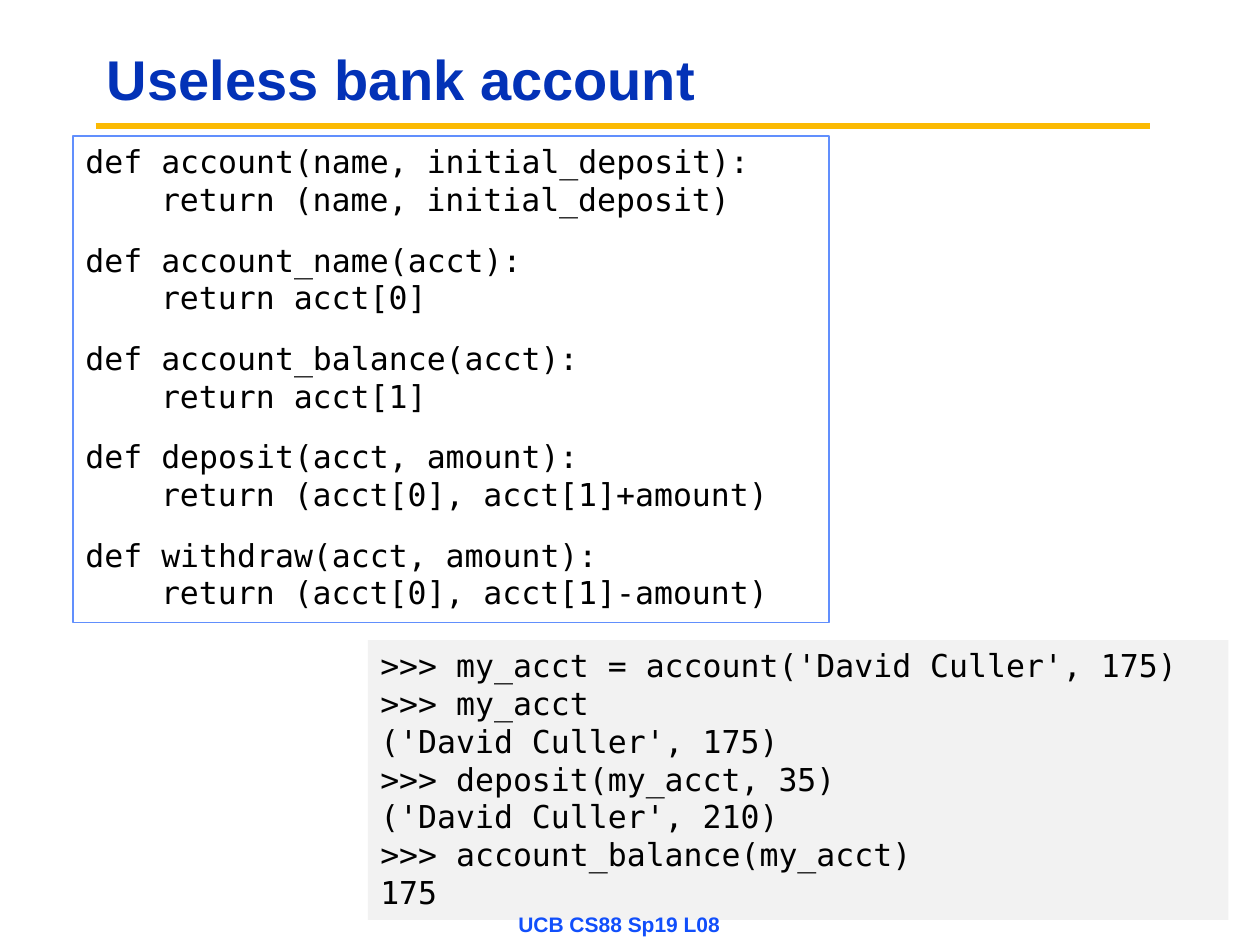
from dataclasses import dataclass

from lxml.etree import SubElement
from pptx import Presentation
from pptx.dml.color import RGBColor as Rgb
from pptx.enum.shapes import MSO_CONNECTOR as Conn, MSO_SHAPE as Shape
from pptx.enum.text import MSO_ANCHOR as Anchor, PP_ALIGN as Align
from pptx.oxml.ns import qn
from pptx.util import Inches, Pt


@dataclass(frozen=True)
class Theme:
    sans: str = "Arial"
    mono: str = "DejaVu Sans Mono"
    title: Rgb = Rgb(0x03, 0x32, 0xB7)
    foot: Rgb = Rgb(0x11, 0x4F, 0xFB)
    rule: Rgb = Rgb(0xFB, 0xBA, 0x03)
    edge: Rgb = Rgb(0x61, 0x8F, 0xFD)
    panel: Rgb = Rgb(0xF2, 0xF2, 0xF2)
    ink: Rgb = Rgb(0, 0, 0)
    head_pt: int = 32
    code_pt: int = 18
    foot_pt: int = 12
    rule_pt: float = 3.75
    edge_pt: float = 0.75
    gap_pt: int = 13
    tab: float = 0.6


class Deck:
    def __init__(self, theme):
        self.theme = theme
        self.prs = Presentation()
        self.prs.slide_width, self.prs.slide_height = Inches(10), Inches(7.5)
        self.slide = self.prs.slides.add_slide(self.prs.slide_layouts[6])

    def run(self, para, text, font, size, color, bold=False):
        run = para.add_run()
        run.text = text
        run.font.name, run.font.size = font, Pt(size)
        run.font.color.rgb, run.font.bold = color, bold

    def rule(self, x1, x2, y):
        line = self.slide.shapes.add_connector(
            Conn.STRAIGHT, Inches(x1), Inches(y), Inches(x2), Inches(y))
        line.line.color.rgb = self.theme.rule
        line.line.width = Pt(self.theme.rule_pt)
        SubElement(line._element.spPr, qn("a:effectLst"))

    def label(self, box, text, size, color, align=Align.LEFT, space=1.0):
        frame = self.slide.shapes.add_textbox(*map(Inches, box)).text_frame
        frame.word_wrap = True
        frame.vertical_anchor = Anchor.MIDDLE
        para = frame.paragraphs[0]
        para.alignment, para.line_spacing = align, space
        self.run(para, text, self.theme.sans, size, color, bold=True)

    def code(self, box, blocks, fill=None, edge=None):
        theme = self.theme
        shape = self.slide.shapes.add_shape(Shape.RECTANGLE, *map(Inches, box))
        shape.shadow.inherit = False
        if fill is None:
            shape.fill.background()
        else:
            shape.fill.solid()
            shape.fill.fore_color.rgb = fill
        if edge is None:
            shape.line.fill.background()
        else:
            shape.line.color.rgb = edge
            shape.line.width = Pt(theme.edge_pt)
        frame = shape.text_frame
        frame.word_wrap = True
        frame.vertical_anchor = Anchor.TOP
        para = frame.paragraphs[0]
        for i, block in enumerate(blocks):
            for j, (depth, text) in enumerate(block):
                if i or j:
                    para = frame.add_paragraph()
                para.alignment = Align.LEFT
                if i and not j:
                    para.space_before = Pt(theme.gap_pt)
                if depth:
                    para._p.get_or_add_pPr().set("marL", str(Inches(depth * theme.tab)))
                self.run(para, text, theme.mono, theme.code_pt, theme.ink)

    def save(self):
        self.prs.save("out.pptx")


FUNCS = [
    ("account(name, initial_deposit)", "(name, initial_deposit)"),
    ("account_name(acct)", "acct[0]"),
    ("account_balance(acct)", "acct[1]"),
    ("deposit(acct, amount)", "(acct[0], acct[1]+amount)"),
    ("withdraw(acct, amount)", "(acct[0], acct[1]-amount)"),
]
SHELL = [
    ">>> my_acct = account('David Culler', 175)",
    ">>> my_acct",
    "('David Culler', 175)",
    ">>> deposit(my_acct, 35)",
    "('David Culler', 210)",
    ">>> account_balance(my_acct)",
    "175",
]


def main():
    theme = Theme()
    deck = Deck(theme)
    deck.rule(0.76, 9.13, 1)
    deck.label((0.75, 0.25, 8.42, 0.81), "Useless bank account",
               theme.head_pt, theme.title, space=0.9)
    defs = [[(0, f"def {head}:"), (1, f"return {body}")] for head, body in FUNCS]
    deck.code((0.58, 1.08, 6, 3.86), defs, edge=theme.edge)
    deck.code((2.92, 5.08, 6.83, 2.22), [[(0, text) for text in SHELL]],
              fill=theme.panel)
    deck.label((3.33, 7.17, 3.17, 0.33), "UCB CS88 Sp19 L08",
               theme.foot_pt, theme.foot, Align.CENTER)
    deck.save()


if __name__ == "__main__":
    main()
